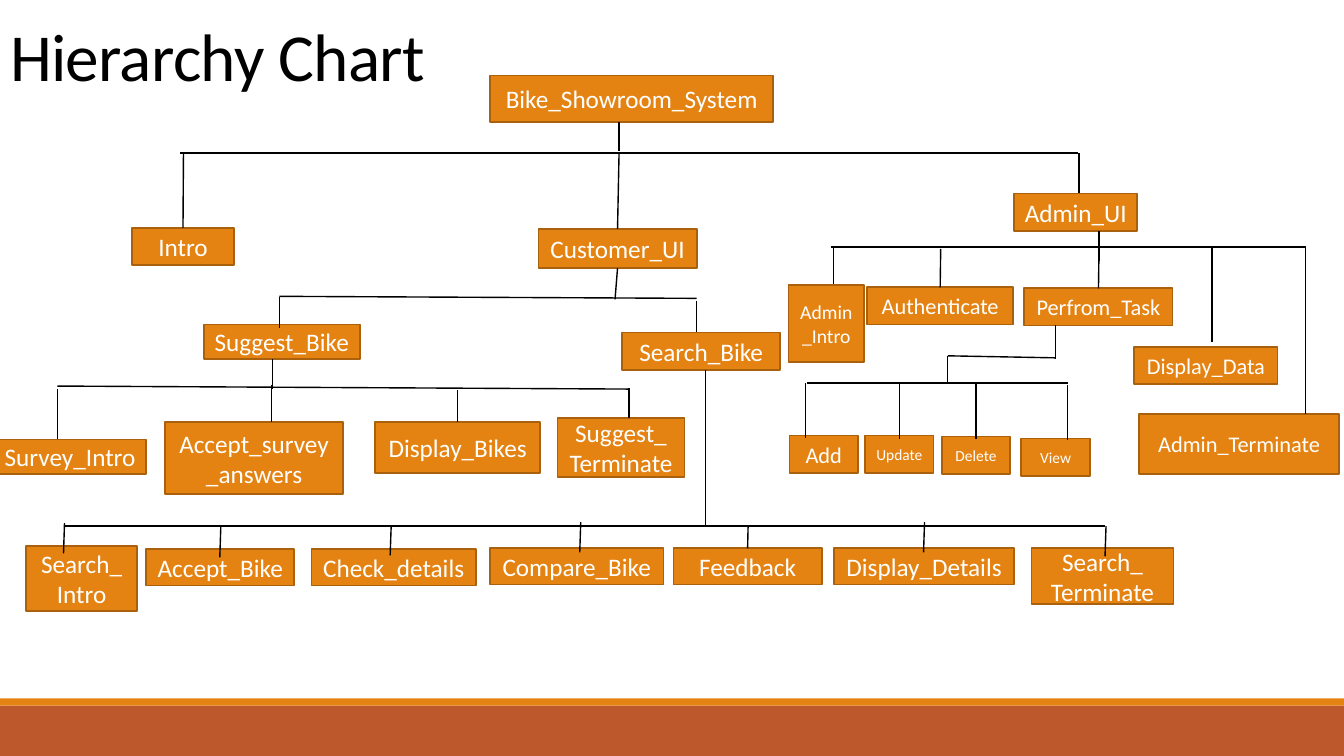
from dataclasses import dataclass

from lxml.etree import SubElement
from pptx import Presentation
from pptx.dml.color import RGBColor
from pptx.enum.shapes import MSO_CONNECTOR as Connector, MSO_SHAPE as Preset
from pptx.enum.text import MSO_ANCHOR as Anchor, MSO_AUTO_SIZE as AutoSize, PP_ALIGN as Align
from pptx.oxml.ns import qn
from pptx.util import Inches, Pt


@dataclass(frozen=True)
class Theme:
    font: str = "Calibri"
    orange: RGBColor = RGBColor(0xE4, 0x83, 0x12)
    outline: RGBColor = RGBColor(0xA9, 0x61, 0x0D)
    rust: RGBColor = RGBColor(0xBD, 0x58, 0x2C)
    black: RGBColor = RGBColor(0, 0, 0)
    white: RGBColor = RGBColor(0xFF, 0xFF, 0xFF)
    title: int = 48
    large: int = 18
    medium: int = 16
    small: int = 14
    tiny: int = 11


THEME = Theme()

MODULE_ROWS = [
    (0.75, 0.46, THEME.large, [("Bike_Showroom_System", 4.86, 2.81)]),
    (1.92, 0.37, THEME.large, [("Admin_UI", 10.06, 1.22)]),
    (2.26, 0.37, THEME.large, [("Intro", 1.31, 1.01)]),
    (2.27, 0.39, THEME.large, [("Customer_UI", 5.34, 1.57)]),
    (3.22, 0.34, THEME.large, [("Suggest_Bike", 2.02, 1.55)]),
    (3.3, 0.37, THEME.large, [("Search_Bike", 6.17, 1.57)]),
    (4.36, 0.34, THEME.large, [("Survey_Intro", -0.06, 1.51)]),
    (4.19, 0.71, THEME.large, [("Accept_survey_answers", 1.64, 1.76)]),
    (4.19, 0.5, THEME.large, [("Display_Bikes", 3.72, 1.64)]),
    (4.15, 0.58, THEME.large, [("Suggest_\nTerminate", 5.53, 1.26)]),
    (5.42, 0.64, THEME.large, [("Search_\nIntro", 0.26, 1.1)]),
    (5.45, 0.36, THEME.large, [("Accept_Bike", 1.45, 1.47), ("Check_details", 3.09, 1.63)]),
    (5.44, 0.36, THEME.large, [("Compare_Bike", 4.86, 1.72), ("Feedback", 6.68, 1.47),
                               ("Display_Details", 8.27, 1.79)]),
    (5.44, 0.55, THEME.large, [("Search_\nTerminate", 10.23, 1.41)]),
    (2.83, 0.76, THEME.small, [("Admin_Intro", 7.82, 0.75)]),
    (2.85, 0.37, THEME.medium, [("Authenticate", 8.6, 1.45)]),
    (2.86, 0.37, THEME.medium, [("Perfrom_Task", 10.16, 1.47)]),
    (3.44, 0.37, THEME.medium, [("Display_Data", 11.25, 1.42)]),
    (4.11, 0.59, THEME.medium, [("Admin_Terminate", 11.3, 1.98)]),
    (4.32, 0.37, THEME.medium, [("Add", 7.83, 0.68)]),
    (4.32, 0.37, THEME.tiny, [("Update", 8.58, 0.68)]),
    (4.33, 0.37, THEME.tiny, [("Delete", 9.34, 0.68)]),
    (4.35, 0.37, THEME.tiny, [("View", 10.13, 0.68)]),
]

BRANCHES = [
    (1.79, 1.52, 10.69, 1.52),
    (2.77, 2.94, 6.91, 2.96),
    (0.57, 3.83, 6.24, 3.86),
    (0.63, 5.22, 10.96, 5.22),
    (8.24, 2.45, 12.95, 2.45),
    (9.4, 3.53, 10.47, 3.55),
    (8, 3.8, 10.59, 3.8),
]

DROPS = [
    (6.14, 1.21, 1.5), (10.7, 1.52, 1.91),
    (6.91, 2.99, 3.29), (2.77, 2.95, 3.25), (2.7, 3.56, 3.86),
    (0.57, 3.86, 4.36), (6.24, 3.85, 4.15), (2.69, 3.82, 4.19),
    (7, 3.67, 5.22),
    (12.95, 2.45, 4.11), (12.02, 2.44, 3.39), (8.27, 2.45, 2.82),
    (10.9, 2.29, 2.59), (10.47, 3.22, 3.56), (9.4, 3.53, 3.8),
    (10.59, 3.82, 4.37), (9.68, 3.81, 4.36), (8.92, 3.81, 4.36), (7.99, 3.8, 4.35),
]

SEARCH_STUB = 0.3
SEARCH_STUBS = [(10.97, 5.22), (9.17, 5.18), (5.76, 5.18),
                (3.88, 5.21), (2.19, 5.23), (0.64, 5.19)]

JOINED_DROPS = [
    (1.82, 1.52, "Intro"),
    (6.14, 1.52, "Customer_UI"),
    (4.54, 3.87, "Display_Bikes"),
    (7.42, 5.22, "Feedback"),
    (9.33, 2.47, "Authenticate"),
    (10.9, 2.47, "Perfrom_Task"),
]


def add_run(paragraph, text, size, color):
    run = paragraph.add_run()
    run.text = text
    run.font.name = THEME.font
    run.font.size = Pt(size)
    run.font.color.rgb = color
    return run


def add_rectangle(slide, left, top, width, height, fill):
    shape = slide.shapes.add_shape(
        Preset.RECTANGLE, Inches(left), Inches(top), Inches(width), Inches(height))
    shape.shadow.inherit = False
    shape.fill.solid()
    shape.fill.fore_color.rgb = fill
    shape.line.fill.background()
    return shape


def add_module(slide, text, left, top, width, height, size):
    shape = add_rectangle(slide, left, top, width, height, THEME.orange)
    shape.line.color.rgb = THEME.outline
    shape.line.width = Pt(1.25)
    frame = shape.text_frame
    frame.word_wrap = True
    frame.vertical_anchor = Anchor.MIDDLE
    for index, line in enumerate(text.split("\n")):
        paragraph = frame.add_paragraph() if index else frame.paragraphs[0]
        paragraph.alignment = Align.CENTER
        add_run(paragraph, line, size, THEME.white)
    return shape


def add_line(slide, x1, y1, x2, y2):
    connector = slide.shapes.add_connector(
        Connector.STRAIGHT, Inches(x1), Inches(y1), Inches(x2), Inches(y2))
    connector.line.color.rgb = THEME.black
    connector.line.width = Pt(1)
    SubElement(connector._element.spPr, qn("a:effectLst"))
    return connector


def set_title(slide, text):
    title = slide.shapes.title
    title.left, title.top = Inches(0), Inches(0.1)
    title.width, title.height = Inches(11), Inches(0.89)
    frame = title.text_frame
    frame.word_wrap = True
    frame.auto_size = AutoSize.NONE
    frame.vertical_anchor = Anchor.BOTTOM
    paragraph = frame.paragraphs[0]
    paragraph.alignment = Align.LEFT
    paragraph.line_spacing = 0.85
    run = add_run(paragraph, text, THEME.title, THEME.black)
    run.font._element.set("spc", "-50")


def main():
    presentation = Presentation()
    presentation.slide_width = Inches(13.33)
    presentation.slide_height = Inches(7.5)
    slide = presentation.slides.add_slide(presentation.slide_layouts.get_by_name("Title Only"))

    add_rectangle(slide, 0, 7, 13.33, 0.5, THEME.rust)
    add_rectangle(slide, 0, 6.93, 13.33, 0.07, THEME.orange)
    set_title(slide, "Hierarchy Chart")

    modules = {}
    for top, height, size, row in MODULE_ROWS:
        for text, left, width in row:
            modules[text] = add_module(slide, text, left, top, width, height, size)

    for branch in BRANCHES:
        add_line(slide, *branch)
    for x, top, bottom in DROPS:
        add_line(slide, x, top, x, bottom)
    for x, top in SEARCH_STUBS:
        add_line(slide, x, top, x - 0.01, top + SEARCH_STUB)
    for x, top, name in JOINED_DROPS:
        add_line(slide, x, top, x, top).end_connect(modules[name], 0)
    add_line(slide, 6.1, 2.97, 6.11, 2.67).end_connect(modules["Customer_UI"], 2)

    presentation.save("out.pptx")


if __name__ == "__main__":
    main()
